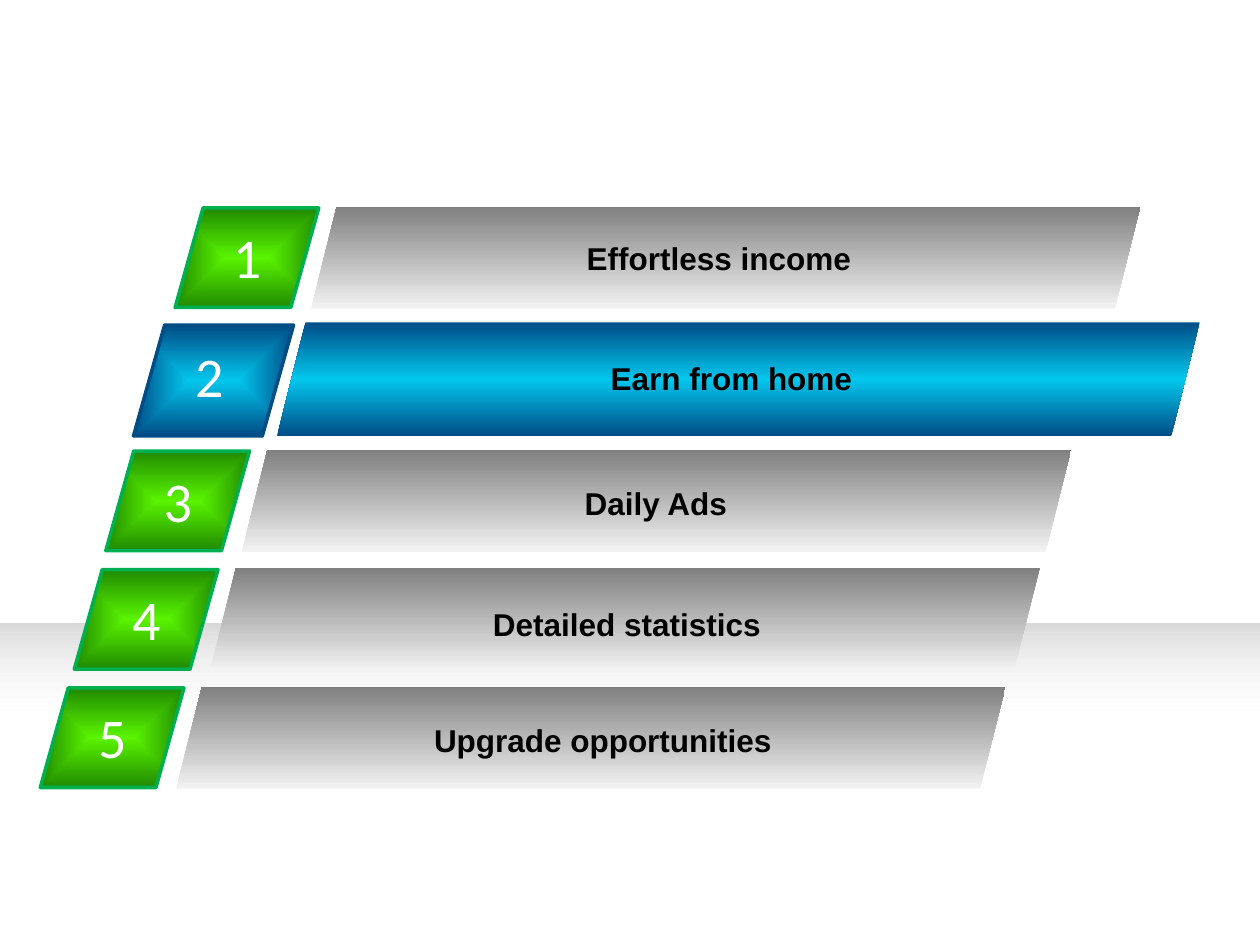
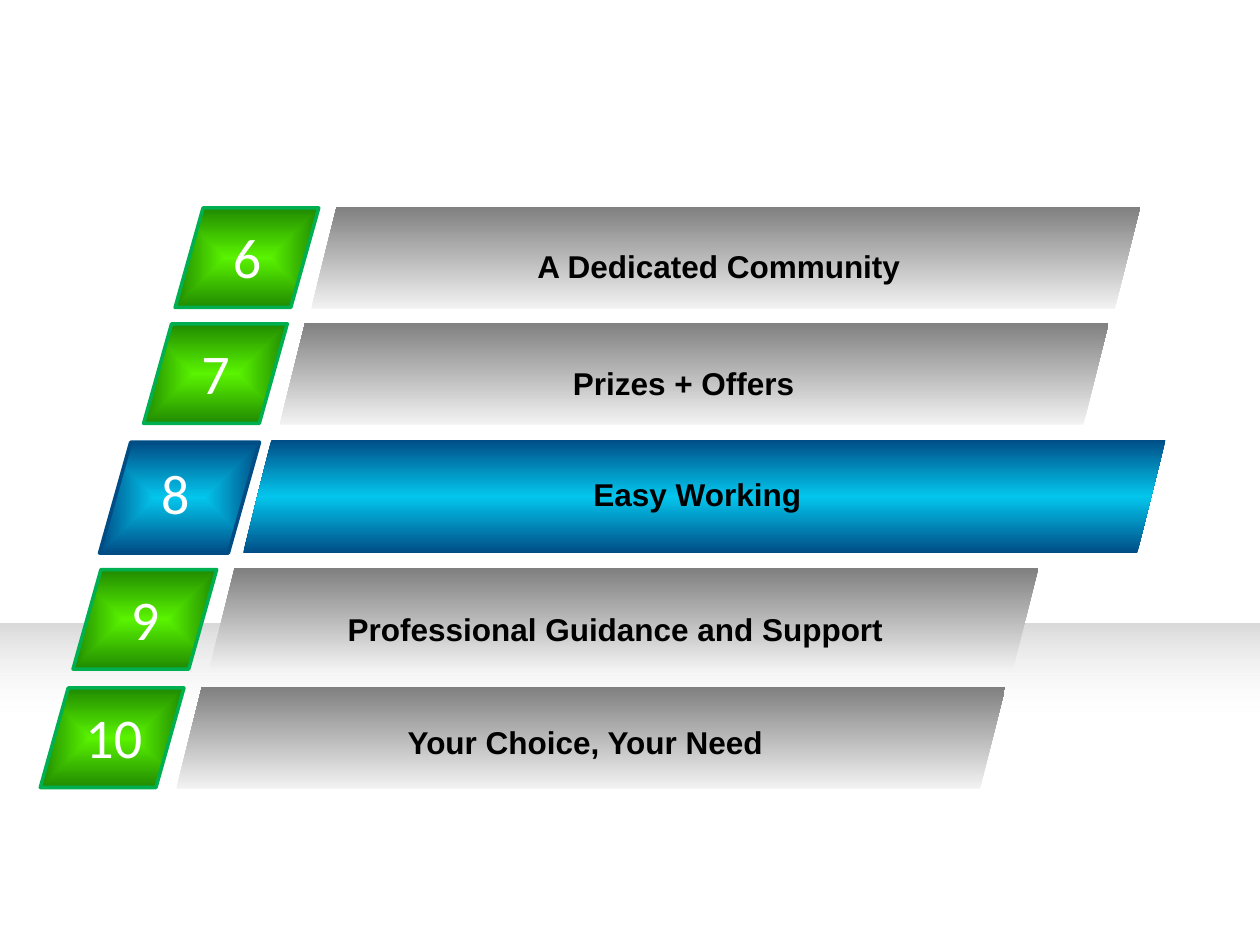
from collections import namedtuple

from pptx import Presentation
from pptx.dml.color import RGBColor
from pptx.enum.shapes import MSO_SHAPE
from pptx.enum.text import MSO_AUTO_SIZE, PP_ALIGN
from pptx.oxml import parse_xml
from pptx.oxml.ns import nsdecls, qn
from pptx.util import Inches, Pt

RECTANGLE = MSO_SHAPE.RECTANGLE
PARALLELOGRAM = MSO_SHAPE.PARALLELOGRAM
FIT_SHAPE = MSO_AUTO_SIZE.SHAPE_TO_FIT_TEXT
LEFT, CENTER = PP_ALIGN.LEFT, PP_ALIGN.CENTER

WHITE = RGBColor(0xFF, 0xFF, 0xFF)
BLACK = RGBColor(0x00, 0x00, 0x00)
PALE_GRAY = RGBColor(0xF2, 0xF2, 0xF2)
LIGHT_GRAY = RGBColor(0xD9, 0xD9, 0xD9)
GRAY = RGBColor(0x80, 0x80, 0x80)
CYAN = RGBColor(0x03, 0xC6, 0xED)
NAVY = RGBColor(0x00, 0x4D, 0x86)
LIME = RGBColor(0x5A, 0xF3, 0x00)
GREEN = RGBColor(0x20, 0x8A, 0x00)
EDGE_GREEN = RGBColor(0x00, 0xB0, 0x50)

# Gradient directions: from bottom to top, or from the centre outwards
UPWARD = '<a:lin ang="16200000" scaled="0"/>'
OUTWARD = ('<a:path path="shape"><a:fillToRect l="50000" t="50000" '
           'r="50000" b="50000"/></a:path>')

# Sizes are (width, height); offsets are (x, y) from the bar or the badge
RowStyle = namedtuple("RowStyle", "bar_size bar_stops badge_size badge_offset "
                                  "badge_stops edge number_offset label_width")
NORMAL = RowStyle((6.58, 0.81), [(0, PALE_GRAY), (100, GRAY)],
                  (1.14, 0.79), (-1.08, 0.01), [(0, LIME), (100, GREEN)],
                  EDGE_GREEN, (0.36, 0.07), 5.91)
HIGHLIGHT = RowStyle((7.32, 0.9), [(0, NAVY), (50, CYAN), (100, NAVY)],
                     (1.27, 0.88), (-1.14, 0.02), [(0, CYAN), (100, NAVY)],
                     NAVY, (0.39, 0.08), 6.57)

# Each row: style, bar left and top, label text, label left and top
SLIDES = [
    [(NORMAL, (2.47, 1.64), "Effortless income", (2.75, 1.85)),
     (HIGHLIGHT, (2.2, 2.56), "Earn from home", (2.52, 2.8)),
     (NORMAL, (1.92, 3.57), "Daily Ads", (2.25, 3.79)),
     (NORMAL, (1.67, 4.51), "Detailed statistics", (2.02, 4.75)),
     (NORMAL, (1.4, 5.45), "Upgrade opportunities", (1.83, 5.67))],
    [(NORMAL, (2.47, 1.64), "A Dedicated Community", (2.75, 1.91)),
     (NORMAL, (2.22, 2.56), "Prizes + Offers", (2.47, 2.84)),
     (HIGHLIGHT, (1.93, 3.49), "Easy Working", (2.25, 3.72)),
     (NORMAL, (1.66, 4.51), "Professional Guidance and Support", (1.93, 4.79)),
     (NORMAL, (1.4, 5.45), "Your Choice, Your Need", (1.69, 5.69))],
]


def shift(position, offset):
    """Return a position moved by an offset."""
    return position[0] + offset[0], position[1] + offset[1]


def stop_xml(percent, color, opacity=100):
    """Return the XML of one gradient stop."""
    return (f'<a:gs pos="{percent * 1000}"><a:srgbClr val="{color}">'
            f'<a:alpha val="{opacity * 1000}"/></a:srgbClr></a:gs>')


def set_gradient(shape, stops, direction):
    """Fill a shape with a gradient of (percent, colour[, opacity]) stops."""
    shape.fill.gradient()
    stop_list = "".join(stop_xml(*stop) for stop in stops)
    gradient = parse_xml(f'<a:gradFill {nsdecls("a")} rotWithShape="1">'
                         f'<a:gsLst>{stop_list}</a:gsLst>{direction}</a:gradFill>')
    properties = shape._element.spPr
    properties.replace(properties.find(qn("a:gradFill")), gradient)


class Deck:
    """Holds the presentation, its style and the current slide."""

    def __init__(self):
        """Start an empty 10 by 7.5 inch presentation."""
        self.presentation = Presentation()
        self.presentation.slide_width = Inches(10)
        self.presentation.slide_height = Inches(7.5)
        self.slide = None

    def add_slide(self):
        """Add a blank slide with the shaded floor band."""
        self.slide = self.presentation.slides.add_slide(
            self.presentation.slide_layouts[6])
        self.add_shape(self.slide.shapes, RECTANGLE, (0, 4.95), (10, 2.02),
                       [(61, WHITE, 0), (100, LIGHT_GRAY)], UPWARD)

    def add_shape(self, shapes, kind, position, size, stops, direction):
        """Add a gradient shape without outline or shadow."""
        shape = shapes.add_shape(kind, *map(Inches, position + size))
        shape.shadow.inherit = False
        shape.line.fill.background()
        set_gradient(shape, stops, direction)
        return shape

    def add_text(self, shapes, text, position, size, font_name, points, color,
                 bold=False, alignment=LEFT):
        """Add a one-line text box."""
        text_frame = shapes.add_textbox(*map(Inches, position + size)).text_frame
        text_frame.word_wrap = True
        text_frame.auto_size = FIT_SHAPE
        text_frame.text = text
        paragraph = text_frame.paragraphs[0]
        paragraph.alignment = alignment
        font = paragraph.runs[0].font
        font.name, font.size, font.bold = font_name, Pt(points), bold
        font.color.rgb = color

    def add_badge(self, style, number, position):
        """Add a grouped slanted badge with its number."""
        shapes = self.slide.shapes.add_group_shape().shapes
        badge = self.add_shape(shapes, PARALLELOGRAM, position, style.badge_size,
                               style.badge_stops, OUTWARD)
        badge.adjustments[0] = 0.281
        badge.line.color.rgb = style.edge
        badge.line.width = Pt(2)
        two_digits = number > 9
        number_position = shift(position, style.number_offset)
        if two_digits:
            number_position = shift(number_position, (-0.1, 0))
        self.add_text(shapes, str(number), number_position,
                      (0.88 if two_digits else 0.45, 0.64), "Calibri", 32, WHITE)

    def add_row(self, number, style, position, label, label_position):
        """Add a numbered badge, its bar and the bar's label."""
        shapes = self.slide.shapes
        self.add_badge(style, number, shift(position, style.badge_offset))
        self.add_shape(shapes, PARALLELOGRAM, position, style.bar_size,
                       style.bar_stops, UPWARD)
        self.add_text(shapes, label, label_position, (style.label_width, 0.4),
                      "Arial", 18, BLACK, bold=True, alignment=CENTER)


def main():
    """Build the numbered benefit slides and save them."""
    deck = Deck()
    number = 0
    for rows in SLIDES:
        deck.add_slide()
        for row in rows:
            number += 1
            deck.add_row(number, *row)
    deck.presentation.save("out.pptx")


main()
